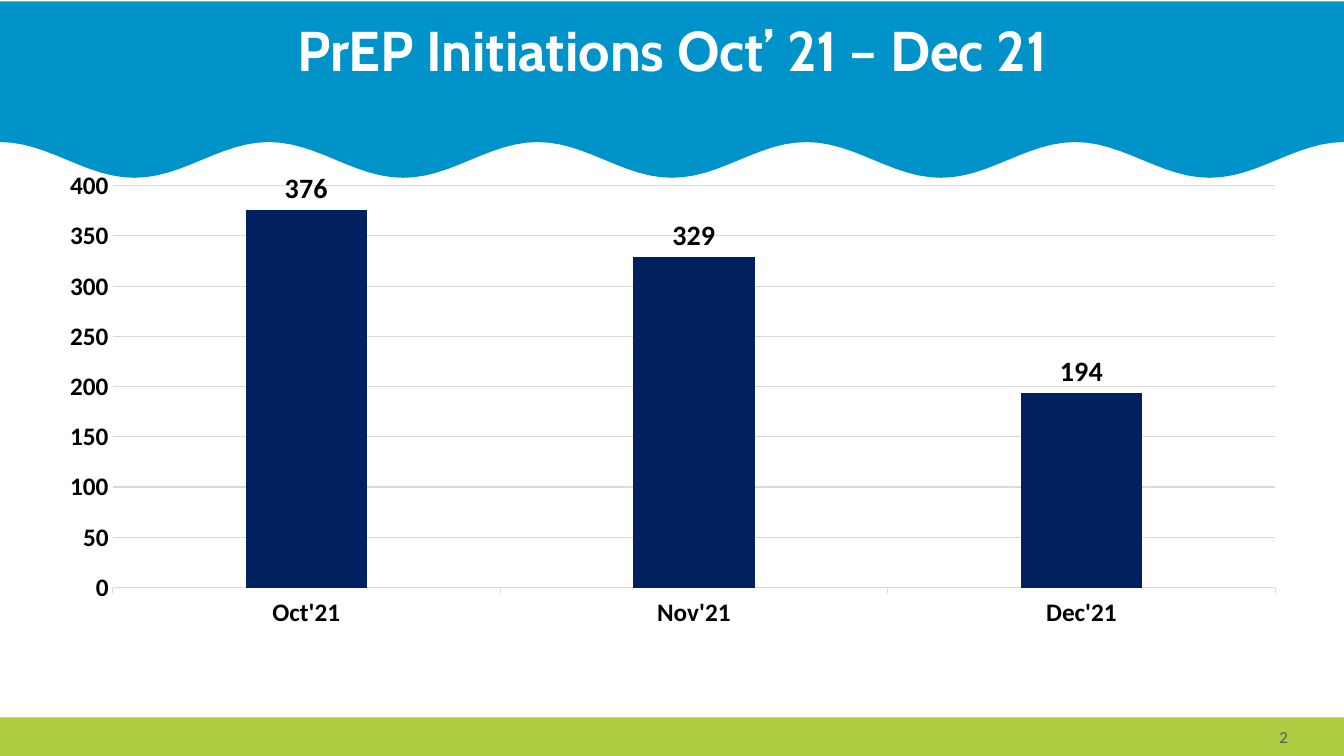
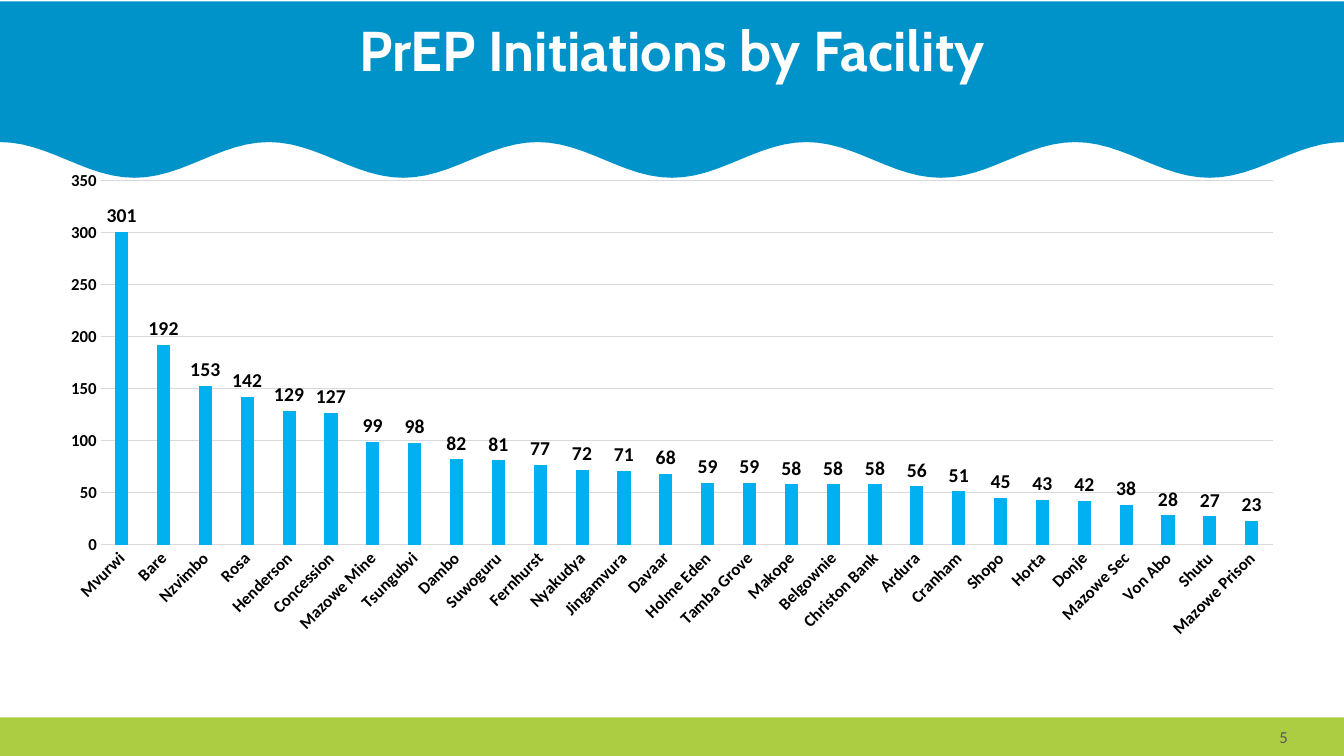
from math import cos, pi

from lxml.etree import SubElement
from pptx import Presentation
from pptx.chart.data import CategoryChartData
from pptx.dml.color import RGBColor
from pptx.enum.chart import XL_CHART_TYPE as ChartType
from pptx.enum.chart import XL_LABEL_POSITION as LabelPosition
from pptx.enum.chart import XL_TICK_MARK as TickMark
from pptx.enum.shapes import MSO_SHAPE as ShapeKind
from pptx.enum.text import MSO_ANCHOR as Anchor
from pptx.enum.text import MSO_AUTO_SIZE as AutoSize
from pptx.enum.text import PP_ALIGN as Align
from pptx.oxml import parse_xml
from pptx.oxml.ns import nsdecls, qn
from pptx.util import Pt

COLORS = {
    "wave": "0093C9",
    "footer": "ACCD41",
    "white": "FFFFFF",
    "black": "000000",
    "number": "595959",
    "grid": "D9D9D9",
    "navy": "002060",
    "sky": "00B0F0",
}
WIDTH, HEIGHT = 960, 540
MARGIN = 33
CONTENT_WIDTH = WIDTH - 2 * MARGIN
CHART_BOTTOM = 463
FOOTER_TOP = 512.5


def rgb(name):
    return RGBColor.from_string(COLORS[name])


class Deck:
    title_font = "Cabin"
    body_font = "Calibri"

    def __init__(self):
        self.presentation = Presentation()
        self.presentation.slide_width = Pt(WIDTH)
        self.presentation.slide_height = Pt(HEIGHT)
        self.layout = self.presentation.slide_layouts[5]
        self.slide = None

    def add_slide(self, title, number):
        slides = self.presentation.slides
        self.slide = slides.add_slide(self.layout)
        if len(slides) == 1:
            self.add_layout_bands()
        self.set_title(title)
        self.add_number(number)

    # Bands shared by all slides, kept behind the layout's placeholders
    def add_layout_bands(self):
        footer = self.slide.shapes.add_shape(
            ShapeKind.RECTANGLE, 0, Pt(FOOTER_TOP), Pt(WIDTH), Pt(HEIGHT - FOOTER_TOP))
        bands = [(footer, "footer"), (self.build_wave(), "wave")]
        for index, (shape, color) in enumerate(bands):
            shape.shadow.inherit = False
            shape.fill.solid()
            shape.fill.fore_color.rgb = rgb(color)
            shape.line.fill.background()
            shape.element.xpath(".//p:cNvPr")[0].set("id", str(100 + index))
            self.layout.shapes.element.insert(2 + index, shape.element)

    def build_wave(self):
        top, middle, amplitude, period, step = 1, 114.25, 12.75, WIDTH / 5, 8
        edge = [(Pt(x), Pt(middle - amplitude * cos(2 * pi * x / period)))
                for x in range(0, WIDTH + 1, step)]
        builder = self.slide.shapes.build_freeform(0, Pt(top))
        builder.add_line_segments(edge + [(Pt(WIDTH), Pt(top))], close=True)
        return builder.convert_to_shape()

    # Text
    def style_font(self, font, size, color="black", bold=True, name=body_font):
        font.name = name
        font.size = Pt(size)
        font.bold = bold
        font.color.rgb = rgb(color)

    def set_title(self, text):
        title = self.slide.shapes.title
        title.left, title.top = Pt(MARGIN), Pt(13)
        title.width, title.height = Pt(CONTENT_WIDTH), Pt(86.4)
        frame = title.text_frame
        frame.text = text
        frame.auto_size = AutoSize.NONE
        frame.vertical_anchor = Anchor.TOP
        paragraph = frame.paragraphs[0]
        paragraph.alignment = Align.CENTER
        paragraph.line_spacing = 0.9
        self.style_font(paragraph.font, 40, "white", name=self.title_font)

    def add_number(self, number):
        width = 267
        box = self.slide.shapes.add_textbox(
            Pt(WIDTH - MARGIN - width), Pt(FOOTER_TOP), Pt(width), Pt(HEIGHT - FOOTER_TOP))
        frame = box.text_frame
        frame.word_wrap = True
        frame.vertical_anchor = Anchor.MIDDLE
        frame.text = str(number)
        paragraph = frame.paragraphs[0]
        paragraph.alignment = Align.RIGHT
        self.style_font(paragraph.font, 12, "number", bold=False)

    # Column chart
    def add_columns(self, values, top, color, axis_size, label_size, maximum,
                    tick=TickMark.NONE, rotation=0, plot_area=None):
        height = CHART_BOTTOM - top
        data = CategoryChartData()
        data.categories = list(values)
        data.add_series("Series 1", list(values.values()))
        chart = self.slide.shapes.add_chart(
            ChartType.COLUMN_CLUSTERED, Pt(MARGIN), Pt(top),
            Pt(CONTENT_WIDTH), Pt(height), data).chart
        chart.has_legend = False
        chart.has_title = False
        self.style_font(chart.font, axis_size)

        plot = chart.plots[0]
        plot.gap_width = 219
        plot.overlap = -27
        plot.vary_by_categories = False
        fill = plot.series[0].format.fill
        fill.solid()
        fill.fore_color.rgb = rgb(color)

        plot.has_data_labels = True
        labels = plot.data_labels
        labels.show_value = True
        labels.position = LabelPosition.OUTSIDE_END
        self.style_font(labels.font, label_size)

        category_axis, value_axis = chart.category_axis, chart.value_axis
        for axis in (category_axis, value_axis):
            self.style_font(axis.tick_labels.font, axis_size)
            axis.major_tick_mark = TickMark.NONE
            axis.minor_tick_mark = TickMark.NONE
        category_axis.major_tick_mark = tick
        value_axis.minimum_scale = 0
        value_axis.maximum_scale = maximum
        value_axis.major_unit = 50
        value_axis.has_major_gridlines = True
        value_axis.format.line.fill.background()
        for line in (category_axis.format.line, value_axis.major_gridlines.format.line):
            line.color.rgb = rgb("grid")
            line.width = Pt(0.75)

        if rotation:
            body = chart.element.xpath(".//c:catAx/c:txPr/a:bodyPr")[0]
            body.set("rot", str(rotation * 60000))
        if plot_area:
            self.place_plot(chart, plot_area, height)

    # Plot area given in points within the chart, stored as fractions of it
    def place_plot(self, chart, plot_area, height):
        area = chart.element.xpath("c:chart/c:plotArea")[0]
        for old_layout in area.findall(qn("c:layout")):
            area.remove(old_layout)
        layout = parse_xml(f"<c:layout {nsdecls('c')}><c:manualLayout/></c:layout>")
        settings = [("layoutTarget", "inner"), ("xMode", "edge"), ("yMode", "edge")]
        for tag, length, whole in zip("xywh", plot_area, [CONTENT_WIDTH, height] * 2):
            settings.append((tag, length / whole))
        for tag, value in settings:
            SubElement(layout[0], qn(f"c:{tag}")).set("val", str(value))
        area.insert(0, layout)


MONTHS = {"Oct'21": 376, "Nov'21": 329, "Dec'21": 194}
FACILITIES = {
    "Mvurwi": 301, "Bare": 192, "Nzvimbo": 153, "Rosa": 142,
    "Henderson": 129, "Concession": 127, "Mazowe Mine": 99, "Tsungubvi": 98,
    "Dambo": 82, "Suwoguru": 81, "Fernhurst": 77, "Nyakudya": 72,
    "Jingamvura": 71, "Davaar": 68, "Holme Eden": 59, "Tamba Grove": 59,
    "Makope": 58, "Belgownie": 58, "Christon Bank": 58, "Ardura": 56,
    "Cranham": 51, "Shopo": 45, "Horta": 43, "Donje": 42,
    "Mazowe Sec": 38, "Von Abo": 28, "Shutu": 27, "Mazowe Prison": 23,
}


def main():
    deck = Deck()

    # Initiations by month
    deck.add_slide("PrEP Initiations Oct’ 21 – Dec 21", 2)
    deck.add_columns(MONTHS, top=121.7, color="navy", axis_size=18, label_size=20,
                     maximum=400, tick=TickMark.OUTSIDE,
                     plot_area=(47.4, 10.6, 830.5, 287.4))

    # Initiations by facility
    deck.add_slide("PrEP Initiations by Facility", 5)
    deck.add_columns(FACILITIES, top=115.2, color="sky", axis_size=12, label_size=14,
                     maximum=350, rotation=-45)

    deck.presentation.save("out.pptx")


if __name__ == "__main__":
    main()
